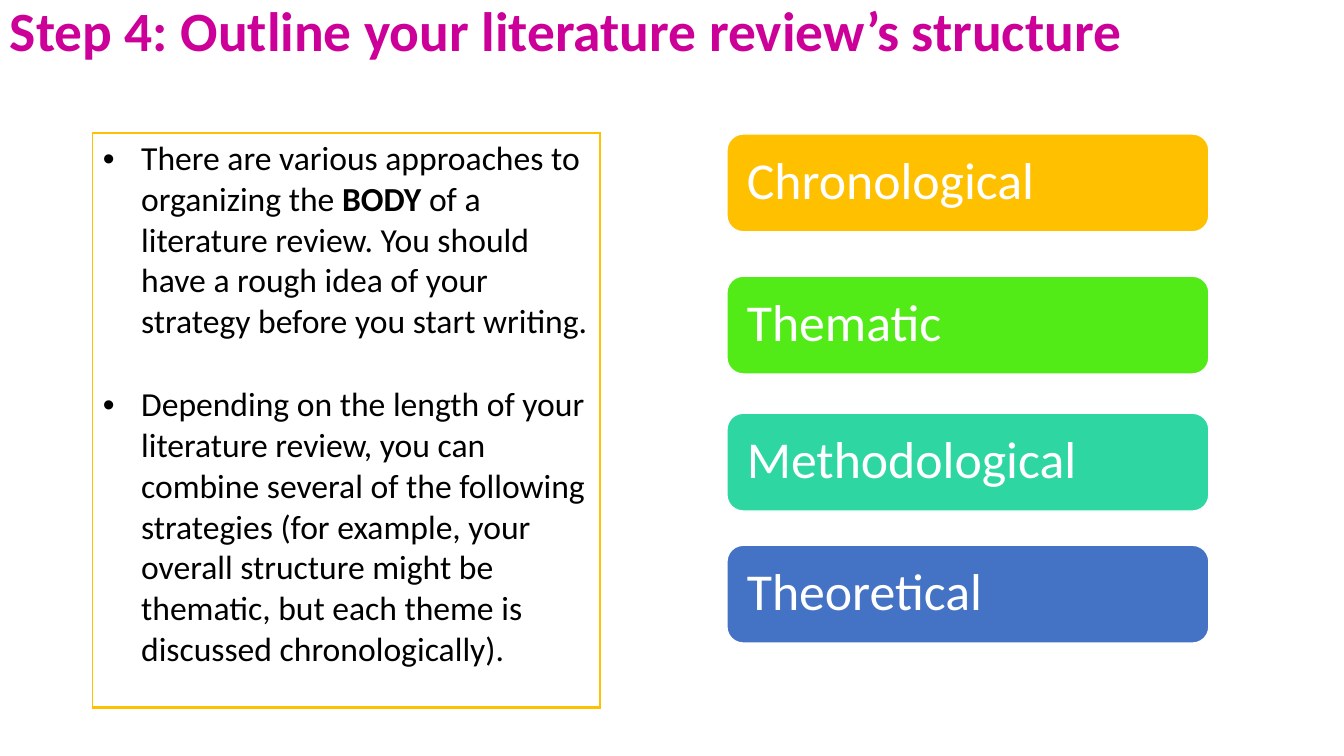
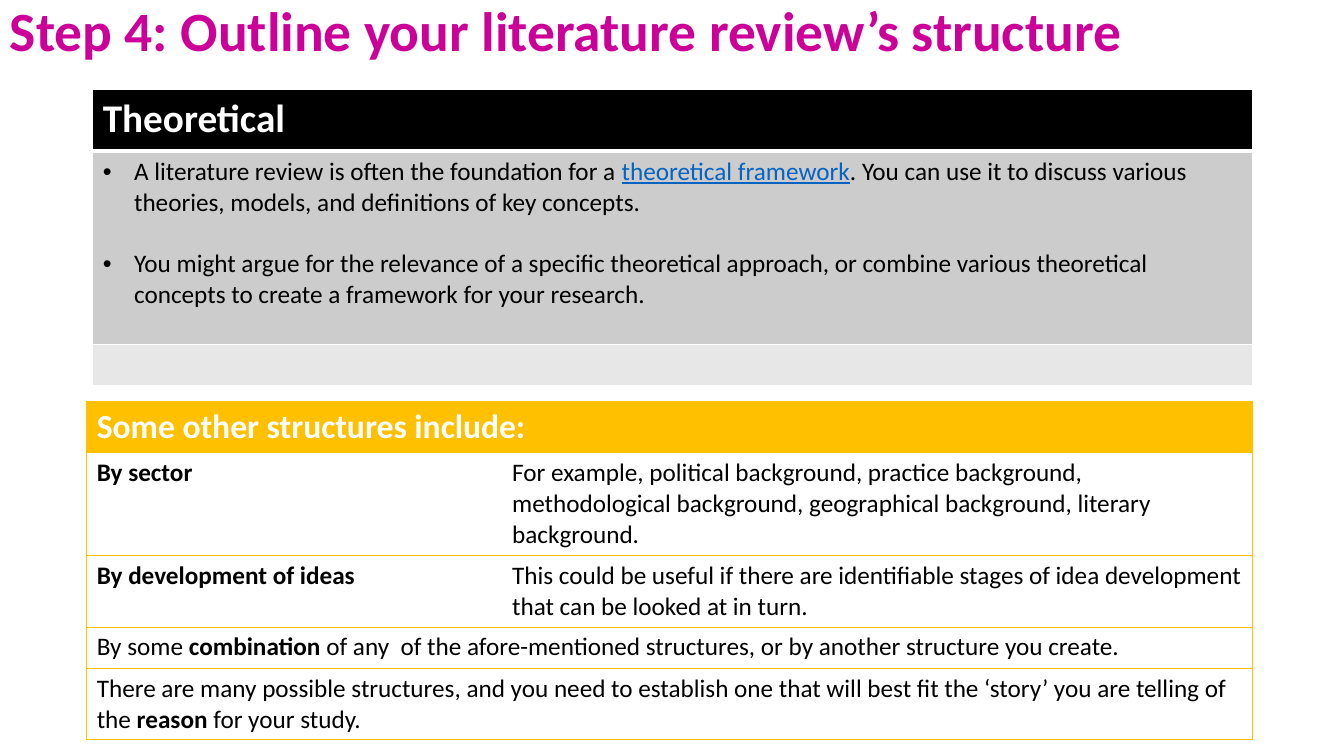
import pptx
import pptx.util
import pptx.dml.color
import pptx.enum.shapes
import pptx.enum.text
import pptx.oxml
import pptx.oxml.ns

Inches, Pt = pptx.util.Inches, pptx.util.Pt
MIDDLE = pptx.enum.text.MSO_ANCHOR.MIDDLE

# Shared look
FONT = "Calibri"
BLACK, WHITE, GOLD, MAGENTA, LINK = "000000", "FFFFFF", "FFC000", "CC0099", "0563C1"
NO_STYLE = "{2D5ABB26-0587-4C30-8999-92F81FD0307C}"
BOLD = {"bold": True}
LINKED = {"color": LINK, "underline": True}

# Content: a paragraph is a list of (text, format) runs
TITLE = "Step 4: Outline your literature review’s structure"
APPROACHES = [
    [("There are various approaches to organizing the ", {}), ("BODY", BOLD),
     (" of a literature review. You should have a rough idea of your strategy "
      "before you start writing.", {})],
    [("Depending on the length of your literature review, you can combine several of "
      "the following strategies (for example, your overall structure might be thematic, "
      "but each theme is discussed chronologically).", {})],
]
STRATEGIES = [  # label, fill, top
    ("Chronological", GOLD, 1.33),
    ("Thematic", "53EB17", 2.74),
    ("Methodological", "2ED7A1", 4.1),
    ("Theoretical", "4472C4", 5.41),
]
THEORETICAL = [
    [("A literature review is often the foundation for a ", {}),
     ("theoretical framework", LINKED),
     (". You can use it to discuss various theories, models, and definitions of key "
      "concepts.", {})],
    [("You might argue for the relevance of a specific theoretical approach, or combine "
      "various theoretical concepts to create a framework for your research.", {})],
]
STRUCTURES = [  # height, one paragraph for each cell; a single one spans the row
    (1.02, [[("By sector", BOLD)],
            [("For example, political background, practice background, methodological "
              "background, geographical background, literary background.", {})]]),
    (0.71, [[("By development of ideas", BOLD)],
            [("This could be useful if there are identifiable stages of idea development "
              "that can be looked at in turn.", {})]]),
    (0.41, [[("By some ", {}), ("combination", BOLD),
             (" of any  of the afore-mentioned structures, or by another structure you "
              "create.", {})]]),
    (0.71, [[("There are many possible structures, and you need to establish one that "
              "will best fit the ‘story’ you are telling of the ", {}),
             ("reason", BOLD), (" for your study.", {})]]),
]


def rgb(value):
    return pptx.dml.color.RGBColor.from_string(value)


def write(tf, paragraphs, size, color=BLACK, indent=0, gap=0, **formats):
    """Fill a text frame; an indent makes bullets, gap is the space between them."""
    for i, runs in enumerate(paragraphs):
        p = tf.add_paragraph() if i else tf.paragraphs[0]
        if indent:
            pPr = p._p.get_or_add_pPr()
            pPr.set("marL", str(Inches(indent)))
            pPr.set("indent", str(-Inches(indent)))
            pPr.append(pptx.oxml.parse_xml(
                '<a:buFont %s typeface="Arial"/>' % pptx.oxml.ns.nsdecls("a")))
            pPr.append(pptx.oxml.parse_xml(
                '<a:buChar %s char="•"/>' % pptx.oxml.ns.nsdecls("a")))
        if i and gap:
            p.space_before = Pt(gap)
        for text, extra in runs:
            r = p.add_run()
            r.text = text
            values = {"name": FONT, "size": Pt(size), "color": color, **formats, **extra}
            r.font.color.rgb = rgb(values.pop("color"))
            for key, value in values.items():
                setattr(r.font, key, value)


def add_title(slide):
    tf = slide.shapes.add_textbox(0, 0, Inches(12.42), Inches(0.66)).text_frame
    tf.word_wrap, tf.vertical_anchor = True, MIDDLE
    write(tf, [[(TITLE, {})]], 39.6, MAGENTA, bold=True)
    tf.paragraphs[0].line_spacing = 0.9


def add_table(slide, left, top, cols, rows):
    gf = slide.shapes.add_table(len(rows), len(cols), Inches(left), Inches(top),
                                Inches(sum(cols)), Inches(sum(rows)))
    table = gf.table
    table.first_row = table.horz_banding = False
    table._tbl.tblPr.find(pptx.oxml.ns.qn("a:tableStyleId")).text = NO_STYLE
    for col, width in zip(table.columns, cols):
        col.width = Inches(width)
    for row, height in zip(table.rows, rows):
        row.height = Inches(height)
    return table


def paint(cell, fill, color, widths):
    """Set the fill and the borders; widths maps L, R, T, B to points."""
    if fill:
        cell.fill.solid()
        cell.fill.fore_color.rgb = rgb(fill)
    else:
        cell.fill.background()
    edges = [edge for edge in "LRTB" if edge in widths]
    for i, edge in enumerate(edges):
        cell._tc.get_or_add_tcPr().insert(i, pptx.oxml.parse_xml(
            '<a:ln%s %s w="%d"><a:solidFill><a:srgbClr val="%s"/></a:solidFill></a:ln%s>'
            % (edge, pptx.oxml.ns.nsdecls("a"), Pt(widths[edge]), color, edge)))


def build_overview(slide):
    # Framed text on the left
    cell = add_table(slide, 0.92, 1.32, [5.03], [5.7]).cell(0, 0)
    paint(cell, None, GOLD, {"L": 1, "R": 1, "T": 1, "B": 2})
    write(cell.text_frame, APPROACHES, 24, indent=0.38, gap=29.3)

    # Strategy cards on the right
    for label, fill, top in STRATEGIES:
        sp = slide.shapes.add_shape(pptx.enum.shapes.MSO_SHAPE.ROUNDED_RECTANGLE,
                                    Inches(7.21), Inches(top), Inches(4.78), Inches(0.97))
        sp.shadow.inherit = False
        sp.fill.solid()
        sp.fill.fore_color.rgb = rgb(fill)
        sp.line.color.rgb = rgb(WHITE)
        sp.line.width = Pt(1)
        tf = sp.text_frame
        tf.vertical_anchor, tf.margin_left = MIDDLE, Inches(0.15)
        write(tf, [[(label, {})]], 37, WHITE)
        tf.paragraphs[0].alignment = pptx.enum.text.PP_ALIGN.LEFT
        tf.paragraphs[0].line_spacing = 0.9


def build_structures(slide):
    # Theoretical table
    table = add_table(slide, 0.92, 0.89, [11.5], [0.61, 1.92, 0.41])
    edges = dict.fromkeys("LRTB", 1)
    head, body, foot = (table.cell(i, 0) for i in range(3))
    paint(head, BLACK, WHITE, {**edges, "B": 3})
    paint(body, "CCCCCC", WHITE, {**edges, "T": 3})
    paint(foot, "E7E7E7", WHITE, edges)
    write(head.text_frame, [[("Theoretical", {})]], 28, WHITE, bold=True)
    write(body.text_frame, THEORETICAL, 18, indent=0.31, gap=22)

    # Other structures
    rows = [(0.51, [[("Some other structures include:", {})]])] + STRUCTURES
    table = add_table(slide, 0.86, 3.98, [4.12, 7.44], [height for height, _ in rows])
    for i, (_, texts) in enumerate(rows):
        merged = len(texts) == 1
        if merged:
            table.cell(i, 0).merge(table.cell(i, 1))
        for j in range(2):
            sides = "LRTB" if merged else "LTB" if j == 0 else "RTB"
            paint(table.cell(i, j), None if i else GOLD, GOLD, dict.fromkeys(sides, 0.5))
        for j, runs in enumerate(texts):
            style = {} if i else {"color": WHITE, "bold": True}
            write(table.cell(i, j).text_frame, [runs], 18 if i else 24, **style)


def main():
    prs = pptx.Presentation()
    prs.slide_width, prs.slide_height = Inches(13.33), Inches(7.5)
    for build in (build_overview, build_structures):
        slide = prs.slides.add_slide(prs.slide_layouts[6])
        add_title(slide)
        build(slide)
    prs.save("out.pptx")


if __name__ == "__main__":
    main()
